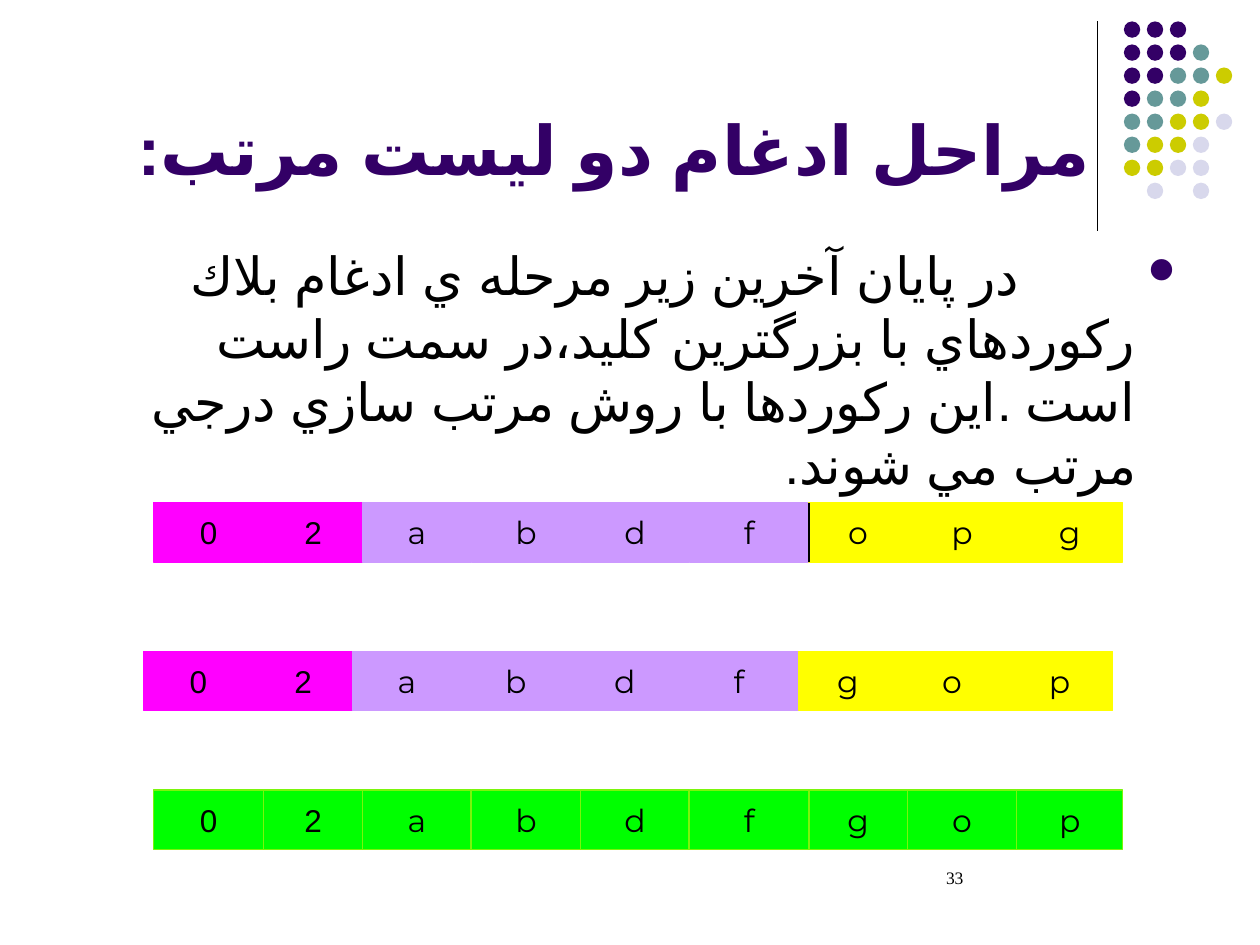
from lxml import etree
from pptx import Presentation
from pptx.dml.color import RGBColor
from pptx.enum.shapes import MSO_CONNECTOR, MSO_SHAPE
from pptx.enum.text import MSO_ANCHOR, PP_ALIGN
from pptx.oxml.ns import qn
from pptx.util import Inches, Pt

STRAIGHT = MSO_CONNECTOR.STRAIGHT
RECTANGLE, OVAL = MSO_SHAPE.RECTANGLE, MSO_SHAPE.OVAL
TOP, MIDDLE, BOTTOM = MSO_ANCHOR.TOP, MSO_ANCHOR.MIDDLE, MSO_ANCHOR.BOTTOM
LEFT, CENTER, RIGHT = PP_ALIGN.LEFT, PP_ALIGN.CENTER, PP_ALIGN.RIGHT

BLACK = RGBColor(0x00, 0x00, 0x00)
INDIGO = RGBColor(0x33, 0x00, 0x66)
TEAL = RGBColor(0x66, 0x99, 0x99)
OLIVE = RGBColor(0xCC, 0xCC, 0x00)
MIST = RGBColor(0xD8, 0xD8, 0xEC)
YELLOW = RGBColor(0xFF, 0xFF, 0x00)
LILAC = RGBColor(0xCC, 0x99, 0xFF)
MAGENTA = RGBColor(0xFF, 0x00, 0xFF)
GREEN = RGBColor(0x00, 0xFF, 0x00)
LIME = RGBColor(0x7A, 0xF5, 0x0B)

DOT_COLORS = {"I": INDIGO, "T": TEAL, "O": OLIVE, "M": MIST}
DOT_ROWS = ["III", "IIIT", "IITTO", "ITTO", "TTOOM", "TOOM", "OOMM", " M M"]
DOT_SIZE = 0.13
DOT_COLUMNS = 5

CELL_EDGES = [0, 0.87, 1.66, 2.52, 3.39, 4.25, 5.2, 5.98, 6.85, 7.69]
BLOCK_COLORS = [MAGENTA] * 2 + [LILAC] * 4 + [YELLOW] * 3
LAST_BLOCK = 6

TITLE = "مراحل ادغام دو ليست مرتب:"
BODY = (
    "در پايان آخرين زير مرحله ي ادغام بلاك ركوردهاي با بزرگترين كليد،"
    "در سمت راست است .اين ركوردها با روش مرتب سازي درجي مرتب مي شوند."
)
TITLE_FONT = {"name": "Arial", "size": Pt(39), "bold": True}
BODY_FONT = {"name": "Arial", "size": Pt(30)}
CELL_FONT = {"name": "Montserrat", "size": Pt(18)}
NUMBER_FONT = {"name": "Times New Roman", "size": Pt(10)}


def add_run(paragraph, text, font, color, rtl):
    run = paragraph.add_run()
    run.text = text
    for attribute, value in font.items():
        setattr(run.font, attribute, value)
    run.font.color.rgb = color
    properties = run._r.get_or_add_rPr()
    if rtl:
        properties.set("lang", "fa-IR")
        etree.SubElement(properties, qn("a:cs"), typeface="Arial")
    return properties


def write_text(
    frame, text, font, color, align, anchor=TOP, rtl=True, wrap=True, lead=0
):
    frame.word_wrap = wrap
    frame.vertical_anchor = anchor
    paragraph = frame.paragraphs[0]
    paragraph.alignment = align
    properties = paragraph._p.get_or_add_pPr()
    if rtl:
        properties.set("rtl", "1")
    if lead:
        add_run(paragraph, " ", font, color, rtl).set("spc", str(lead * 100))
    add_run(paragraph, text, font, color, rtl)
    return properties


def add_textbox(slide, box, *args, **options):
    frame = slide.shapes.add_textbox(*map(Inches, box)).text_frame
    return write_text(frame, *args, **options)


def add_rule(slide, x, top, bottom):
    rule = slide.shapes.add_connector(
        STRAIGHT, Inches(x), Inches(top), Inches(x), Inches(bottom)
    )
    rule.line.color.rgb = BLACK
    rule.line.width = Pt(0.75)
    etree.SubElement(rule._element.spPr, qn("a:effectLst"))


def add_dots(slide, box):
    left, top, width, height = box
    x_pitch = (width - DOT_SIZE) / (DOT_COLUMNS - 1)
    y_pitch = (height - DOT_SIZE) / (len(DOT_ROWS) - 1)
    dots = slide.shapes.add_group_shape().shapes
    for row, codes in enumerate(DOT_ROWS):
        for column, code in enumerate(codes):
            if code not in DOT_COLORS:
                continue
            dot = dots.add_shape(
                OVAL,
                Inches(left + column * x_pitch),
                Inches(top + row * y_pitch),
                Inches(DOT_SIZE),
                Inches(DOT_SIZE),
            )
            dot.shadow.inherit = False
            dot.fill.solid()
            dot.fill.fore_color.rgb = DOT_COLORS[code]
            dot.line.fill.background()


def add_body(slide, box):
    properties = add_textbox(slide, box, BODY, BODY_FONT, BLACK, RIGHT, lead=58)
    hanging = Inches(0.38)
    properties.set("marR", "0")
    properties.set("marL", str(hanging))
    properties.set("indent", str(-hanging))
    bullet_color = etree.SubElement(properties, qn("a:buClr"))
    etree.SubElement(bullet_color, qn("a:srgbClr"), val=str(INDIGO))
    etree.SubElement(properties, qn("a:buSzPct"), val="70000")
    etree.SubElement(
        properties, qn("a:buFont"), typeface="Wingdings", charset="2"
    )
    etree.SubElement(properties, qn("a:buChar"), char="l")


def add_records(slide, box, keys, fills, outlines):
    left, top, height = box
    cells = slide.shapes.add_group_shape().shapes
    spans = zip(CELL_EDGES, CELL_EDGES[1:])
    for key, (start, end), fill, outline in zip(keys, spans, fills, outlines):
        cell = cells.add_shape(
            RECTANGLE,
            Inches(left + start),
            Inches(top),
            Inches(end - start),
            Inches(height),
        )
        cell.shadow.inherit = False
        cell.fill.solid()
        cell.fill.fore_color.rgb = fill
        cell.line.color.rgb = outline
        cell.line.width = Pt(0.75)
        write_text(
            cell.text_frame, key, CELL_FONT, BLACK, CENTER, MIDDLE, wrap=False
        )


def add_merge_steps(slide, left, height):
    first_top = 3.99
    add_records(
        slide, (left, first_top, height), "02abdfopg", BLOCK_COLORS, BLOCK_COLORS
    )
    add_records(
        slide, (left - 0.08, 5.17, height), "02abdfgop", BLOCK_COLORS, BLOCK_COLORS
    )
    add_rule(slide, left + CELL_EDGES[LAST_BLOCK], first_top, first_top + height)
    count = len(BLOCK_COLORS)
    add_records(
        slide, (left, 6.27, height), "02abdfgop", [GREEN] * count, [LIME] * count
    )


def add_page_number(slide, box):
    properties = add_textbox(
        slide, box, "33", NUMBER_FONT, BLACK, LEFT, rtl=False
    )
    properties.set("marL", str(Inches(0.24)))


def main():
    presentation = Presentation()
    presentation.slide_width = Inches(10)
    presentation.slide_height = Inches(7.5)
    slide = presentation.slides.add_slide(presentation.slide_layouts[6])
    add_rule(slide, 8.71, 0.17, 1.83)
    add_dots(slide, (8.92, 0.17, 0.86, 1.41))
    add_textbox(
        slide, (0.5, 0.13, 8.25, 1.42), TITLE, TITLE_FONT, INDIGO, RIGHT, BOTTOM
    )
    add_body(slide, (0.5, 1.88, 9, 4.82))
    add_merge_steps(slide, 1.22, 0.47)
    add_page_number(slide, (7.17, 6.83, 2.33, 0.5))
    presentation.save("out.pptx")


if __name__ == "__main__":
    main()
